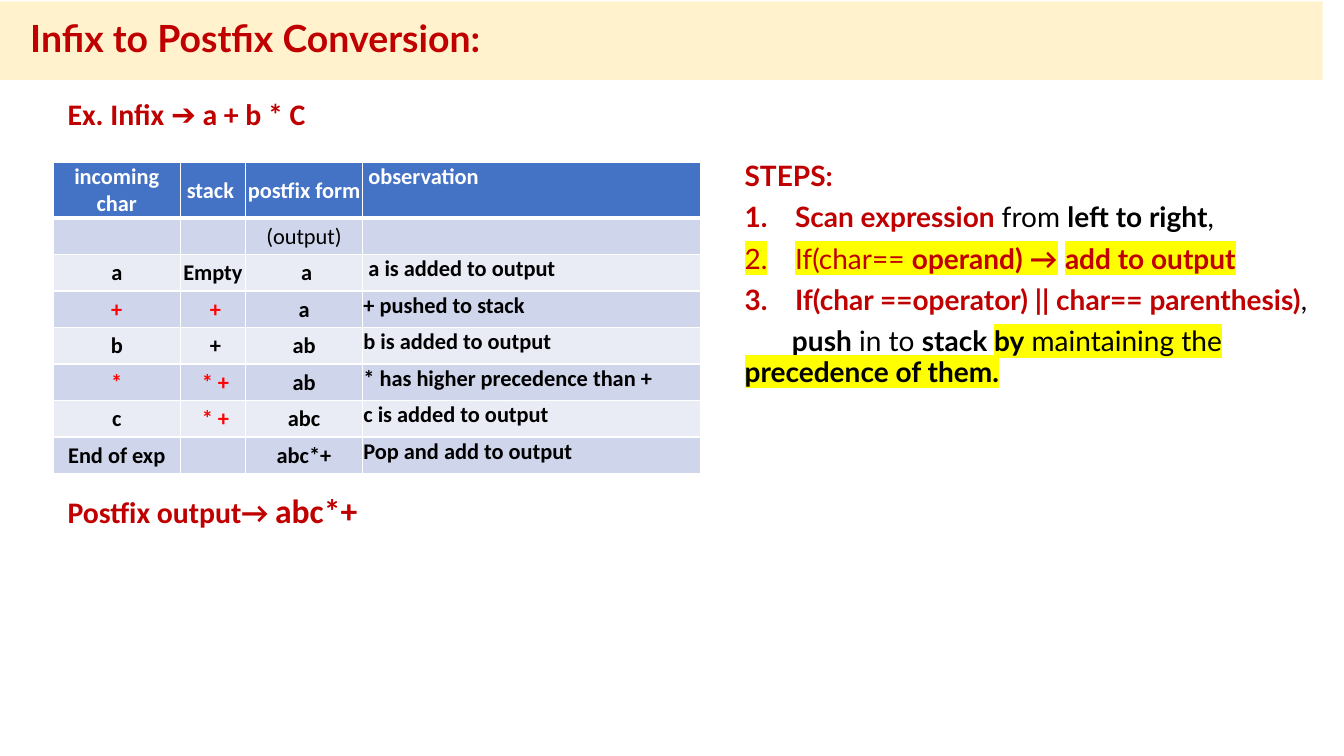
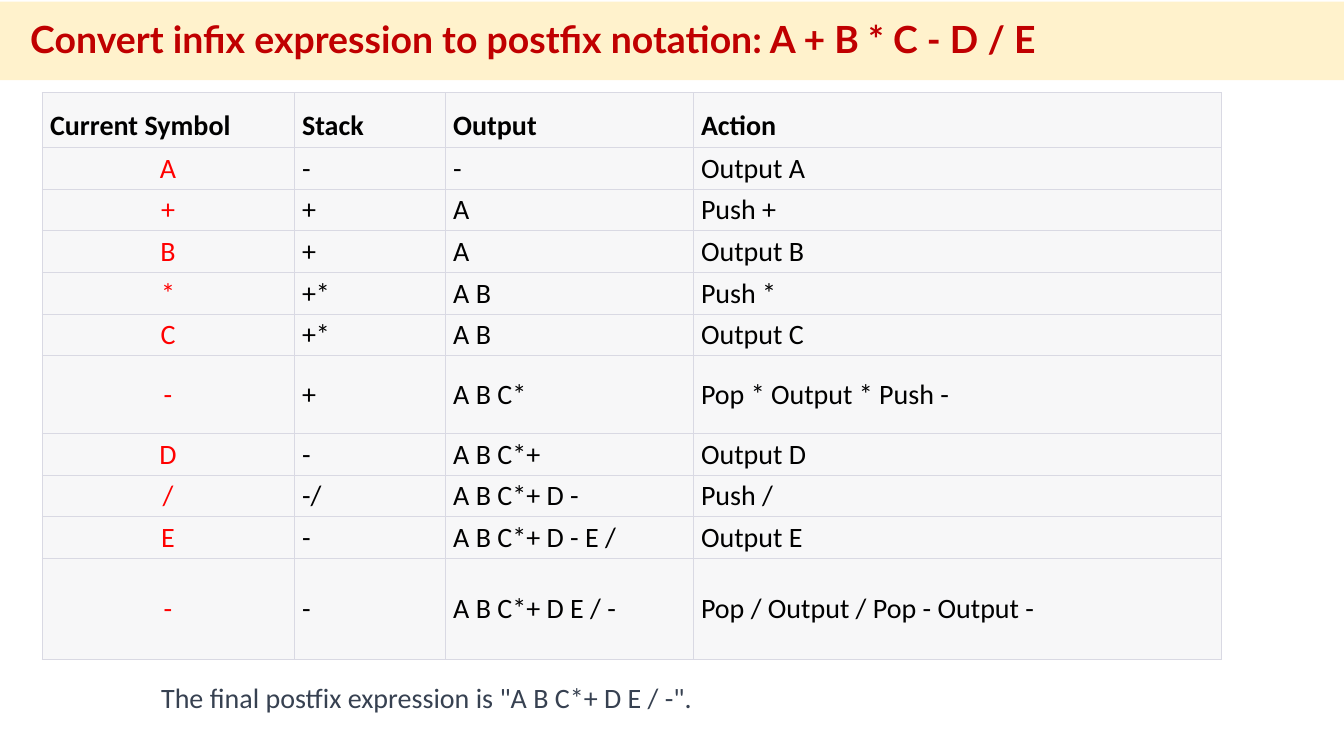
"""Build two slides on turning infix expressions into postfix form."""
from dataclasses import dataclass, field

from lxml.etree import SubElement as Sub
from pptx import Presentation
from pptx.dml.color import RGBColor as Rgb
from pptx.enum.shapes import MSO_SHAPE as Shape
from pptx.enum.text import MSO_ANCHOR as Anchor, MSO_AUTO_SIZE as Fit, PP_ALIGN as Align
from pptx.oxml.ns import qn
from pptx.util import Inches, Pt


@dataclass(frozen=True)
class Theme:
    """Colours, fonts and type sizes."""
    red: str = "C00000"
    hot: str = "FF0000"
    ink: str = "000000"
    slate: str = "374151"
    white: str = "FFFFFF"
    cream: str = "FFF2CC"
    mark: str = "FFFF00"
    blue: str = "4472C4"
    bands: tuple = ("E9EBF5", "CFD5EA")
    pale: str = "F7F7F8"
    rule: str = "D9D9E3"
    head: str = "Lato"
    body: str = "Calibri"
    title: float = 26.7
    large: float = 24
    lead: float = 21.3
    text: float = 20
    small: float = 16


T = Theme()
WIDE, HIGH = Inches(13.33), Inches(7.5)
COLS, ROWS = 32, 18
PAD = (0.13, 0.07, 0.13, 0.07)
BOX = (0.1, 0.05, 0.1, 0.05)


@dataclass
class Bit:
    """A stretch of text with one format."""
    text: str
    ink: str = T.red
    bold: bool = True
    size: float = T.text
    face: str = T.head
    mark: str = ""


@dataclass
class Look:
    """The dress of one table."""
    fills: tuple
    top: str
    ink: str
    line: str
    thin: float
    thick: float
    pad: tuple
    size: float
    light: set
    hot: set
    mid: set
    anchors: dict = field(default_factory=dict)


def across(cols):
    """Return the width of some grid columns."""
    return round(WIDE * cols / COLS)


def down(rows):
    """Return the height of some grid rows."""
    return round(HIGH * rows / ROWS)


def area(left, top, cols, rows):
    """Return a place on the grid."""
    return across(left), down(top), across(cols), down(rows)


def inset(item, pad):
    """Set the four margins of a frame or cell."""
    sides = ("left", "top", "right", "bottom")
    for side, gap in zip(sides, pad):
        setattr(item, f"margin_{side}", Inches(gap))


def style(run, bit):
    """Format one run."""
    font = run.font
    font.name, font.size, font.bold = bit.face, Pt(bit.size), bit.bold
    font.color.rgb = Rgb.from_string(bit.ink)
    if bit.mark:
        props = run._r.get_or_add_rPr()
        glow = Sub(props, qn("a:highlight"))
        Sub(glow, qn("a:srgbClr"), val=bit.mark)
        props.find(qn("a:solidFill")).addnext(glow)


def write(para, bits):
    """Fill a paragraph with formatted runs."""
    para.text = bits[0].text
    for bit in bits[1:]:
        para.add_run().text = bit.text
    for run, bit in zip(para.runs, bits):
        style(run, bit)


def space(para, left, first=0, before=0, count=False):
    """Set indents, spacing and numbering of a paragraph."""
    para.line_spacing, para.space_after = 0.9, Pt(8)
    para.space_before = Pt(before)
    props = para._p.get_or_add_pPr()
    props.set("marL", str(Inches(left)))
    props.set("indent", str(Inches(first)))
    if count:
        Sub(props, qn("a:buFont"), typeface="+mj-lt")
        Sub(props, qn("a:buAutoNum"), type="arabicPeriod")


def panel(slide, place, pad=BOX, fit=Fit.NONE):
    """Add an empty text box and return its frame."""
    frame = slide.shapes.add_textbox(*area(*place)).text_frame
    frame.word_wrap, frame.auto_size = True, fit
    inset(frame, pad)
    return frame


def fill(frame, paras):
    """Write a list of (bits, spacing) into a frame."""
    for num, (bits, gaps) in enumerate(paras):
        para = frame.add_paragraph() if num else frame.paragraphs[0]
        write(para, bits)
        space(para, **gaps)


def banner(slide, text, top, cols):
    """Add the title band."""
    band = slide.shapes.add_shape(Shape.RECTANGLE, *area(0, top, cols, 1.87))
    band.shadow.inherit = False
    band.fill.solid()
    band.fill.fore_color.rgb = Rgb.from_string(T.cream)
    band.line.fill.background()
    frame = band.text_frame
    frame.word_wrap, frame.vertical_anchor = True, Anchor.MIDDLE
    inset(frame, PAD)
    fill(frame, [([Bit(text, size=T.title)], dict(left=0.17))])
    frame.paragraphs[0].alignment = Align.LEFT


def edge(cell, row, look):
    """Draw the four borders of a cell."""
    props = cell._tc.get_or_add_tcPr()
    thick = {"T": row == 1, "B": row == 0}
    for spot, side in enumerate("LRTB"):
        width = look.thick if thick.get(side) else look.thin
        line = Sub(props, qn(f"a:ln{side}"), w=str(Pt(width)))
        Sub(Sub(line, qn("a:solidFill")), qn("a:srgbClr"), val=look.line)
        props.insert(spot, line)


def dress(cell, text, row, col, look):
    """Write and format one cell."""
    inset(cell, look.pad)
    cell.vertical_anchor = look.anchors.get((row > 0, col), Anchor.MIDDLE)
    cell.fill.solid()
    shade = look.fills[row % len(look.fills)] if row else look.top
    cell.fill.fore_color.rgb = Rgb.from_string(shade)
    edge(cell, row, look)
    if text:
        ink = T.hot if (row, col) in look.hot else T.ink if row else look.ink
        para = cell.text_frame.paragraphs[0]
        write(para, [Bit(text, ink, row not in look.light, look.size, T.body)])
        para.alignment = Align.CENTER if (row > 0, col) in look.mid else Align.LEFT


def grid(slide, left, top, cols, rows, data, look):
    """Add a table."""
    place = area(left, top, sum(cols), sum(rows))
    table = slide.shapes.add_table(len(rows), len(cols), *place).table
    table.first_row = table.horz_banding = False
    for col, width in zip(table.columns, cols):
        col.width = across(width)
    for num, (row, high) in enumerate(zip(table.rows, rows)):
        row.height = down(high)
        for col, text in enumerate(data[num]):
            dress(row.cells[col], text, num, col, look)


def steps(slide):
    """Add the list of steps."""
    item = dict(left=1.33, first=-0.5, count=True)
    lit = dict(mark=T.mark)
    fill(panel(slide, (15.5, 3.74, 16.03, 5.69), fit=Fit.SHAPE_TO_FIT_TEXT), [
        ([Bit("STEPS:")], dict(left=0.83)),
        ([Bit("Scan expression "), Bit("from ", T.ink, False),
          Bit("left to right", T.ink), Bit(",", T.ink, False)], item),
        ([Bit("If(char== ", bold=False, **lit), Bit("operand) →", **lit),
          Bit(" ", T.ink, False), Bit("add to output", **lit)], item),
        ([Bit("If(char ==operator) || char== parenthesis)"),
          Bit(",", T.ink, False)], item),
        ([Bit("push", T.ink), Bit(" in to ", T.ink, False), Bit("stack ", T.ink),
          Bit("by", T.ink, **lit), Bit(" maintaining the ", T.ink, False, **lit),
          Bit("precedence of them.", T.ink, **lit)], dict(left=0.83, first=0.47)),
    ])


def first(slide):
    """Build the worked example with its steps."""
    lead = dict(size=T.lead, face=T.body)
    fill(panel(slide, (0.89, 2.21, 16.54, 15), PAD), [
        ([Bit("Ex. Infix ➔ a + b * C", **lead)], dict(left=0.17)),
        ([Bit("Postfix output→ ", **lead),
          Bit("abc*+", size=T.large, face=T.body)], dict(left=0.17, before=251)),
    ])
    banner(slide, "Infix to Postfix Conversion:", 0.03, 31.49)
    data = [
        ("incoming char", "stack ", "postfix form", " observation"),
        ("", "", "(output)", ""),
        ("a", "Empty", " a", " a is added to output"),
        ("+", " +", "a", "+ pushed to stack"),
        ("b", " +", "ab", "b is added to output"),
        ("*", " * +", "ab", "* has higher precedence than +"),
        ("c", " * +", "abc", "c is added to output"),
        ("End of exp", "", "abc*+", "Pop and add to output"),
    ]
    look = Look(
        T.bands, T.blue, T.white, T.white, 1, 3, (0.01, 0.01, 0.01, 0), T.small,
        light={1}, hot={(3, 0), (3, 1), (5, 0), (5, 1), (6, 1)},
        mid={(body, col) for body in (False, True) for col in range(3)},
        anchors={(body, 3): Anchor.TOP for body in (False, True)})
    grid(slide, 1.27, 3.86, (3.02, 1.56, 2.78, 8.06), [0.87] * len(data), data, look)
    steps(slide)


def second(slide):
    """Build the longer conversion."""
    banner(slide, "Convert infix expression to postfix notation: A + B * C - D / E",
           0.04, COLS)
    note = panel(slide, (3.6, 16.08, 26.47, 1.06), fit=Fit.SHAPE_TO_FIT_TEXT)
    note.vertical_anchor = Anchor.MIDDLE
    write(note.paragraphs[0], [Bit('The final postfix expression is "A B C*+ D E / -".',
                                   T.slate, False, face=T.body)])
    data = [
        ("Current Symbol", "Stack", "Output", "Action"),
        ("A", "-", "-", "Output A"),
        ("+", "+", "A", "Push +"),
        ("B", "+", "A", "Output B"),
        ("*", "+*", "A B", "Push *"),
        ("C", "+*", "A B", "Output C"),
        ("-", "+", "A B C*", "Pop * Output * Push -"),
        ("D", "-", "A B C*+", "Output D"),
        ("/", "-/", "A B C*+ D -", "Push /"),
        ("E", "-", "A B C*+ D - E /", "Output E"),
        ("-", "-", "A B C*+ D E / -", "Pop / Output / Pop - Output -"),
    ]
    body = range(1, len(data))
    look = Look(
        (T.pale,), T.pale, T.ink, T.rule, 0.75, 1, (0.08, 0.04, 0.08, 0.04), T.text,
        light=set(body), hot={(row, 0) for row in body}, mid={(True, 0)},
        anchors={(False, col): Anchor.BOTTOM for col in range(4)})
    tall = {0: 1.3, 6: 1.85, 10: 2.4}
    rows = [tall.get(row, 0.74) for row in range(len(data))]
    grid(slide, 1, 2.21, (6, 3.6, 5.9, 12.58), rows, data, look)


def main():
    """Make and save the deck."""
    deck = Presentation()
    deck.slide_width, deck.slide_height = WIDE, HIGH
    for build in (first, second):
        build(deck.slides.add_slide(deck.slide_layouts[6]))
    deck.save("out.pptx")


if __name__ == "__main__":
    main()
